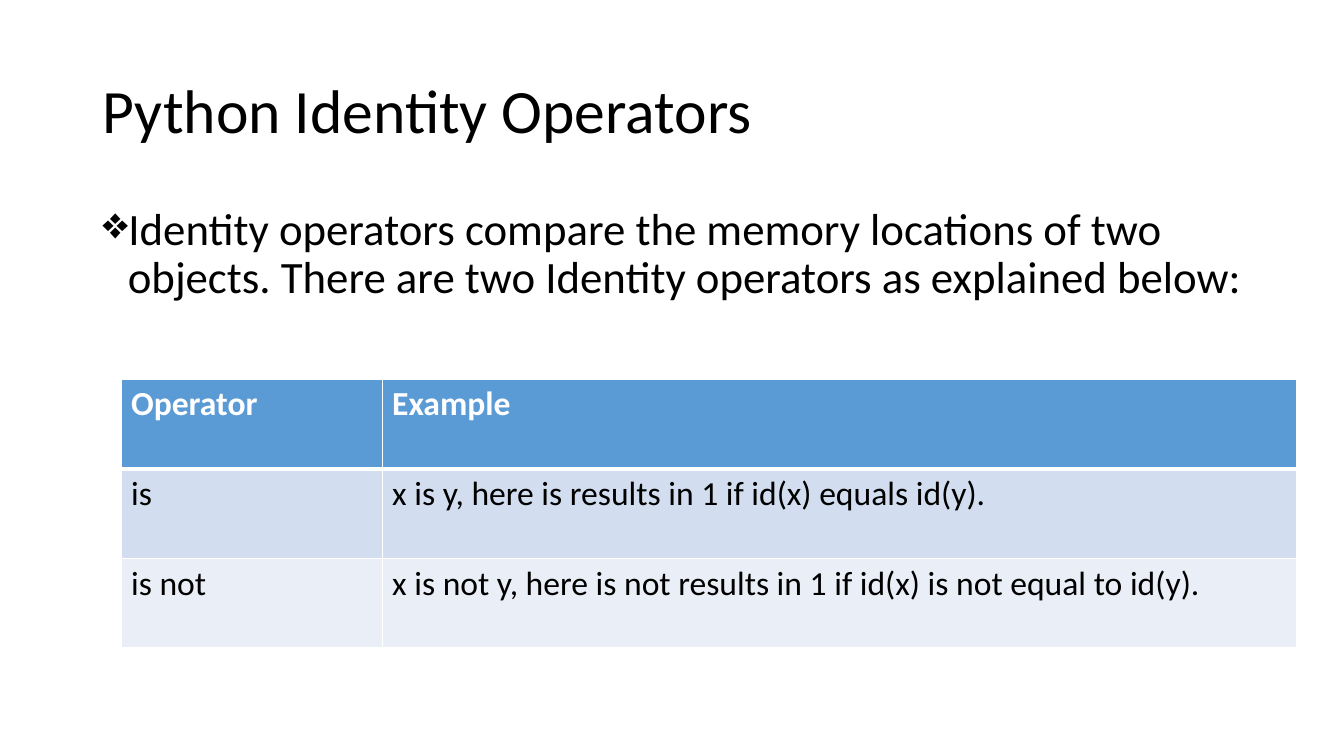
"""Build the slide on Python identity operators."""
import dataclasses

import pptx
import pptx.dml.color
import pptx.enum.text
import pptx.oxml.ns
import pptx.util
from lxml import etree

Inches = pptx.util.Inches
Pt = pptx.util.Pt
qn = pptx.oxml.ns.qn


def rgb(code):
    return pptx.dml.color.RGBColor.from_string(code)


@dataclasses.dataclass(frozen=True)
class Theme:
    font: str = "Calibri"
    ink: str = "000000"
    paper: str = "FFFFFF"
    header: str = "5B9BD5"
    bands: tuple = ("D2DEEF", "EAEFF7")
    title_size: int = 44
    body_size: int = 32
    table_size: int = 24
    rule: int = 1
    header_rule: int = 3


def write(frame, text, *, font, size, color, bold=False, spacing=None,
          before=0, bullet=None, indent=0):
    frame.word_wrap = True
    paragraph = frame.paragraphs[0]
    paragraph.alignment = pptx.enum.text.PP_ALIGN.LEFT
    paragraph.line_spacing = spacing
    paragraph.space_before = Pt(before)
    if bullet:
        properties = paragraph._p.get_or_add_pPr()
        properties.set("marL", str(Inches(indent)))
        properties.set("indent", str(-Inches(indent)))
        etree.SubElement(properties, qn("a:buChar")).set("char", bullet)
    run = paragraph.add_run()
    run.text = text
    run.font.name = font
    run.font.size = Pt(size)
    run.font.bold = bold
    run.font.color.rgb = rgb(color)


class SlideBuilder:
    def __init__(self, deck, theme):
        self.theme = theme
        self.slide = deck.slides.add_slide(deck.slide_layouts[5])
        self.slide.background.fill.solid()
        self.slide.background.fill.fore_color.rgb = rgb(theme.paper)

    def title(self, text, left, top, width, height):
        heading = self.slide.shapes.title
        heading.left, heading.top = Inches(left), Inches(top)
        heading.width, heading.height = Inches(width), Inches(height)
        heading.text_frame.vertical_anchor = pptx.enum.text.MSO_ANCHOR.MIDDLE
        write(heading.text_frame, text, font=self.theme.font,
              size=self.theme.title_size, color=self.theme.ink, spacing=0.9)

    def bullet(self, text, left, top, width, height):
        explanation = self.slide.shapes.add_textbox(
            Inches(left), Inches(top), Inches(width), Inches(height))
        write(explanation.text_frame, text, font=self.theme.font,
              size=self.theme.body_size, color=self.theme.ink, spacing=0.9,
              before=10, bullet="❖", indent=0.25)

    def border(self, cell, side, points):
        line = etree.SubElement(cell._tc.get_or_add_tcPr(), qn(f"a:ln{side}"))
        line.set("w", str(Pt(points)))
        fill = etree.SubElement(line, qn("a:solidFill"))
        etree.SubElement(fill, qn("a:srgbClr")).set("val", self.theme.paper)

    def table(self, rows, left, top, widths, row_height):
        theme = self.theme
        operators = self.slide.shapes.add_table(
            len(rows), len(widths), Inches(left), Inches(top),
            Inches(sum(widths)), Inches(row_height * len(rows))).table
        for column, width in zip(operators.columns, widths):
            column.width = Inches(width)
        for row_index, row in enumerate(rows):
            operators.rows[row_index].height = Inches(row_height)
            is_header = row_index == 0
            fill = theme.header if is_header else theme.bands[(row_index - 1) % 2]
            rules = {"L": theme.rule, "R": theme.rule,
                     "T": theme.header_rule if row_index == 1 else theme.rule,
                     "B": theme.header_rule if is_header else theme.rule}
            for column_index, text in enumerate(row):
                cell = operators.cell(row_index, column_index)
                for side, points in rules.items():
                    self.border(cell, side, points)
                cell.fill.solid()
                cell.fill.fore_color.rgb = rgb(fill)
                write(cell.text_frame, text, font=theme.font,
                      size=theme.table_size, bold=is_header,
                      color=theme.paper if is_header else theme.ink)


deck = pptx.Presentation()
deck.slide_width, deck.slide_height = Inches(13.33), Inches(7.5)
identity = SlideBuilder(deck, Theme())
identity.title("Python Identity Operators", 0.92, 0.4, 11.5, 1.45)
identity.bullet(
    "Identity operators compare the memory locations of two objects. "
    "There are two Identity operators as explained below:",
    0.92, 2, 11.5, 4.76)
identity.table(
    [("Operator", "Example"),
     ("is", "x is y, here is results in 1 if id(x) equals id(y)."),
     ("is not", "x is not y, here is not results in 1 if id(x) is not equal to id(y).")],
    1.2, 3.76, (2.59, 9.07), 0.89)
deck.save("out.pptx")
